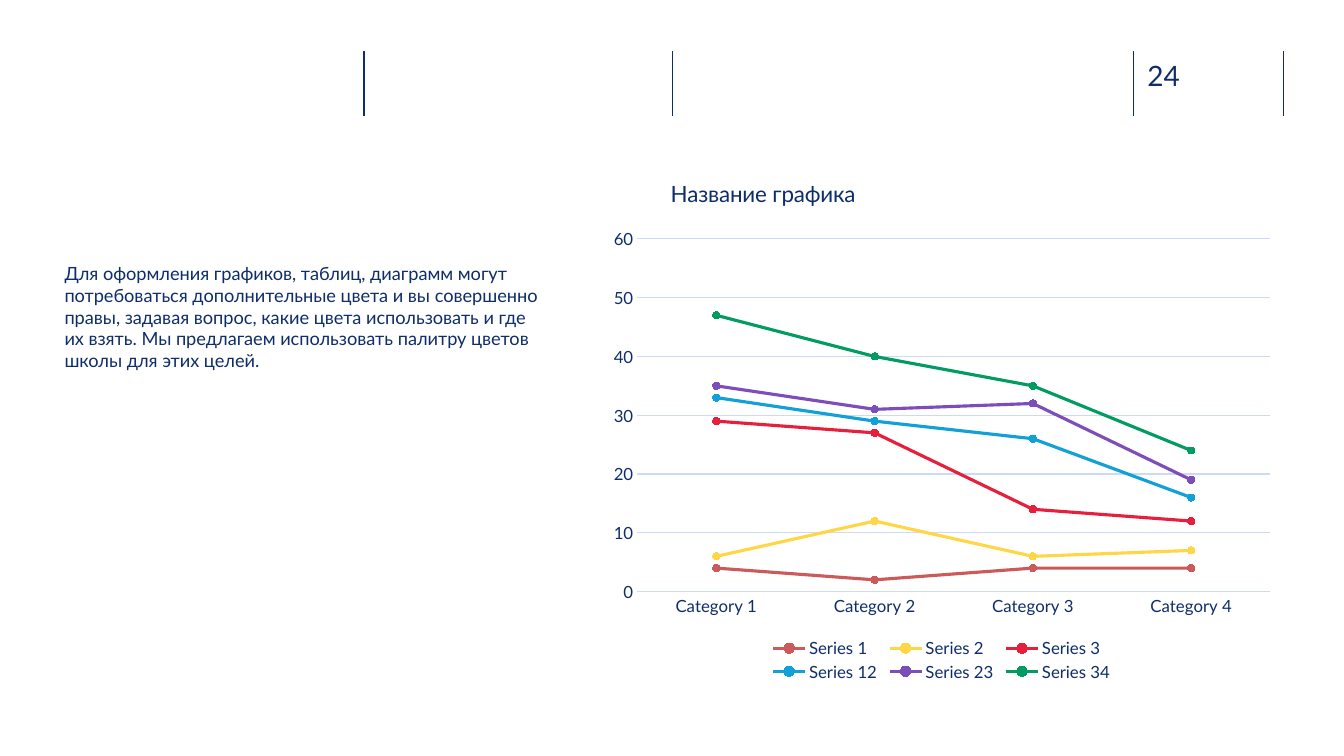
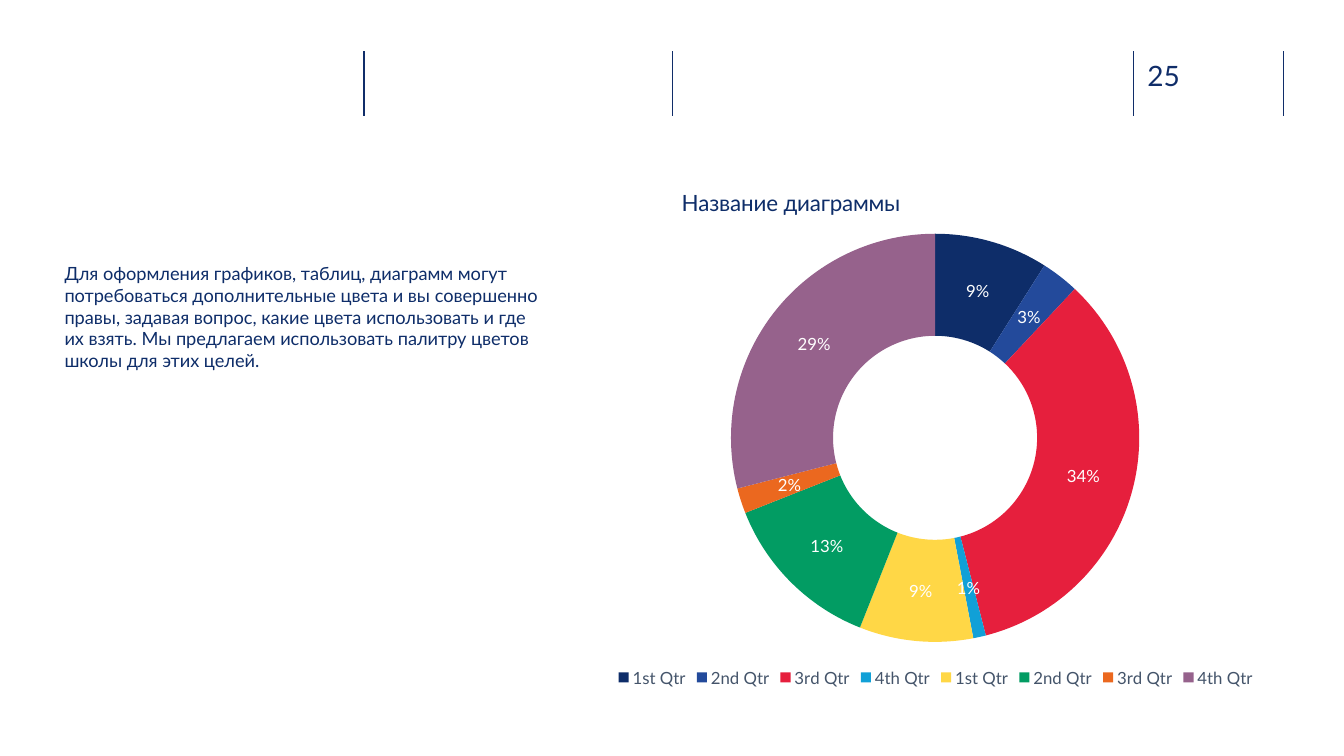
"""Builds two slides that show a line chart and a doughnut chart in one house style."""
from lxml import etree
from pptx import Presentation
from pptx import util as u
from pptx.chart import data
from pptx.dml import color
from pptx.enum import chart as ch, shapes, text
from pptx.oxml import ns

FONT, NAVY, RULE, GRID, SLATE, WHITE = "Lato", "0E2D69", "102D69", "CCDAF8", "44546A", "FFFFFF"
RED, BLUE, YELLOW, GREEN = "E61F3D", "11A0D7", "FFD746", "029C63"
RULE_LEFTS = (3.61, 6.67, 11.24, 12.73)
RULE_TOP, RULE_BOTTOM = 0.51, 1.15

ADVICE = (
    "Для оформления графиков, таблиц, диаграмм могут потребоваться дополнительные цвета "
    "и вы совершенно правы, задавая вопрос, какие цвета использовать и где их взять. "
    "Мы предлагаем использовать палитру цветов школы для этих целей."
)
CATEGORIES = [f"Category {number}" for number in range(1, 5)]
TRENDS = [
    ("Series 1", (4, 2, 4, 4), "CD5A5A"),
    ("Series 2", (2, 10, 2, 3), YELLOW),
    ("Series 3", (23, 15, 8, 5), RED),
    ("Series 12", (4, 2, 12, 4), BLUE),
    ("Series 23", (2, 2, 6, 3), "7D4EBA"),
    ("Series 34", (12, 9, 3, 5), GREEN),
]
QUARTERS = ["1st Qtr", "2nd Qtr", "3rd Qtr", "4th Qtr"] * 2
SHARES = (9, 3, 34, 1, 9, 13, 2, 29)
SHARE_COLORS = (NAVY, "234A9B", RED, BLUE, YELLOW, GREEN, "EB681F", "96628C")


def rgb(code):
    return color.RGBColor.from_string(code)


def apply(target, values):
    for name, value in values.items():
        setattr(target, name, value)


class Deck:
    def __init__(self):
        self.presentation = Presentation()
        apply(self.presentation, {"slide_width": u.Inches(13.33), "slide_height": u.Inches(7.5)})
        self.slide = None

    def new_slide(self, number):
        self.slide = self.presentation.slides.add_slide(self.presentation.slide_layouts[6])
        for left in RULE_LEFTS:
            self.rule(left)
        self.words(str(number), (11.38, 0.58, 0.73, 0.34), 20, RULE)
        self.words(ADVICE, (0.64, 2.6, 4.73, 2.62), 13, NAVY, space_before=10)

    def font(self, font, size, code):
        apply(font, {"name": FONT, "size": u.Pt(size), "bold": False})
        font.color.rgb = rgb(code)

    def stroke(self, line, code, width):
        line.color.rgb = rgb(code)
        line.width = u.Pt(width)

    def rule(self, left):
        ends = [u.Inches(value) for value in (left, RULE_TOP, left, RULE_BOTTOM)]
        divider = self.slide.shapes.add_connector(shapes.MSO_CONNECTOR.STRAIGHT, *ends)
        self.stroke(divider.line, RULE, 1)
        etree.SubElement(divider._element.spPr, ns.qn("a:effectLst"))

    def words(self, content, box, size, code, space_before=0):
        frame = self.slide.shapes.add_textbox(*map(u.Inches, box)).text_frame
        apply(frame, {
            "word_wrap": True, "vertical_anchor": text.MSO_ANCHOR.TOP,
            "margin_left": 0, "margin_right": 0, "margin_top": 0, "margin_bottom": 0,
        })
        paragraph = frame.paragraphs[0]
        paragraph.space_before = u.Pt(space_before)
        run = paragraph.add_run()
        run.text = content
        self.font(run.font, size, code)

    def place(self, part, index, frame, area, inner=False):
        for former in part.findall(ns.qn("c:layout")):
            part.remove(former)
        layout = etree.Element(ns.qn("c:layout"))
        part.insert(index, layout)
        manual = etree.SubElement(layout, ns.qn("c:manualLayout"))
        left, top, width, height = frame
        settings = {"layoutTarget": "inner"} if inner else {}
        settings.update(xMode="edge", yMode="edge")
        settings.update(x=(area[0] - left) / width, y=(area[1] - top) / height)
        if len(area) == 4:
            settings.update(w=area[2] / width, h=area[3] / height)
        for name, value in settings.items():
            shown = value if isinstance(value, str) else f"{value:.4f}"
            etree.SubElement(manual, ns.qn(f"c:{name}"), val=shown)

    def chart(self, kind, frame, categories, series, title, title_at, plot_area, legend_area, legend_color):
        numbers = data.CategoryChartData()
        numbers.categories = categories
        for name, values in series:
            numbers.add_series(name, values)
        chart = self.slide.shapes.add_chart(kind, *map(u.Inches, frame), numbers).chart
        self.font(chart.font, 10, "0F2C68")
        apply(chart, {"has_title": True, "has_legend": True})
        heading = chart.chart_title.text_frame.paragraphs[0].add_run()
        heading.text = title
        self.font(heading.font, 16, NAVY)
        apply(chart.legend, {"position": ch.XL_LEGEND_POSITION.BOTTOM, "include_in_layout": False})
        self.font(chart.legend.font, 12, legend_color)
        self.place(chart.chart_title._element, 1, frame, title_at)
        self.place(chart.legend._element, 1, frame, legend_area)
        self.place(chart._chartSpace.chart.plotArea, 0, frame, plot_area, inner=True)
        chart.plots[0].vary_by_categories = kind == ch.XL_CHART_TYPE.DOUGHNUT
        return chart

    def line_chart(self, title):
        chart = self.chart(
            ch.XL_CHART_TYPE.LINE_MARKERS_STACKED, (5.95, 1.62, 6.78, 5.19), CATEGORIES,
            [trend[:2] for trend in TRENDS], title, (6.61, 1.72),
            (6.32, 2.37, 6.28, 3.5), (7.6, 6.3, 3.48, 0.49), NAVY,
        )
        for axis in (chart.category_axis, chart.value_axis):
            apply(axis, {"major_tick_mark": ch.XL_TICK_MARK.NONE, "minor_tick_mark": ch.XL_TICK_MARK.NONE})
            self.font(axis.tick_labels.font, 12, NAVY)
        self.stroke(chart.category_axis.format.line, GRID, 0.75)
        apply(chart.value_axis, {"minimum_scale": 0, "maximum_scale": 60, "major_unit": 10})
        chart.value_axis.format.line.fill.background()
        self.stroke(chart.value_axis.major_gridlines.format.line, GRID, 0.75)
        for series, (_, _, code) in zip(chart.plots[0].series, TRENDS):
            series.smooth = False
            self.stroke(series.format.line, code, 2.25)
            apply(series.marker, {"style": ch.XL_MARKER_STYLE.CIRCLE, "size": 5})
            series.marker.format.fill.solid()
            series.marker.format.fill.fore_color.rgb = rgb(code)
            self.stroke(series.marker.format.line, code, 0.75)

    def doughnut_chart(self, title):
        chart = self.chart(
            ch.XL_CHART_TYPE.DOUGHNUT, (5.89, 1.63, 6.78, 5.23), QUARTERS,
            [("Series 1", SHARES)], title, (6.72, 1.81),
            (7.25, 2.32, 4.05, 4.05), (6.08, 6.58, 6.4, 0.28), SLATE,
        )
        plot = chart.plots[0]
        plot._element.find(ns.qn("c:holeSize")).set("val", "47")
        plot.has_data_labels = True
        apply(plot.data_labels, {
            "show_percentage": True, "show_value": False,
            "number_format": "0%", "number_format_is_linked": False,
        })
        self.font(plot.data_labels.font, 12, WHITE)
        for index, code in enumerate(SHARE_COLORS):
            share = plot.series[0].points[index].format
            share.fill.solid()
            share.fill.fore_color.rgb = rgb(code)
            share.line.fill.background()


def main():
    deck = Deck()
    deck.new_slide(24)
    deck.line_chart("Название графика")
    deck.new_slide(25)
    deck.doughnut_chart("Название диаграммы")
    deck.presentation.save("out.pptx")


if __name__ == "__main__":
    main()
